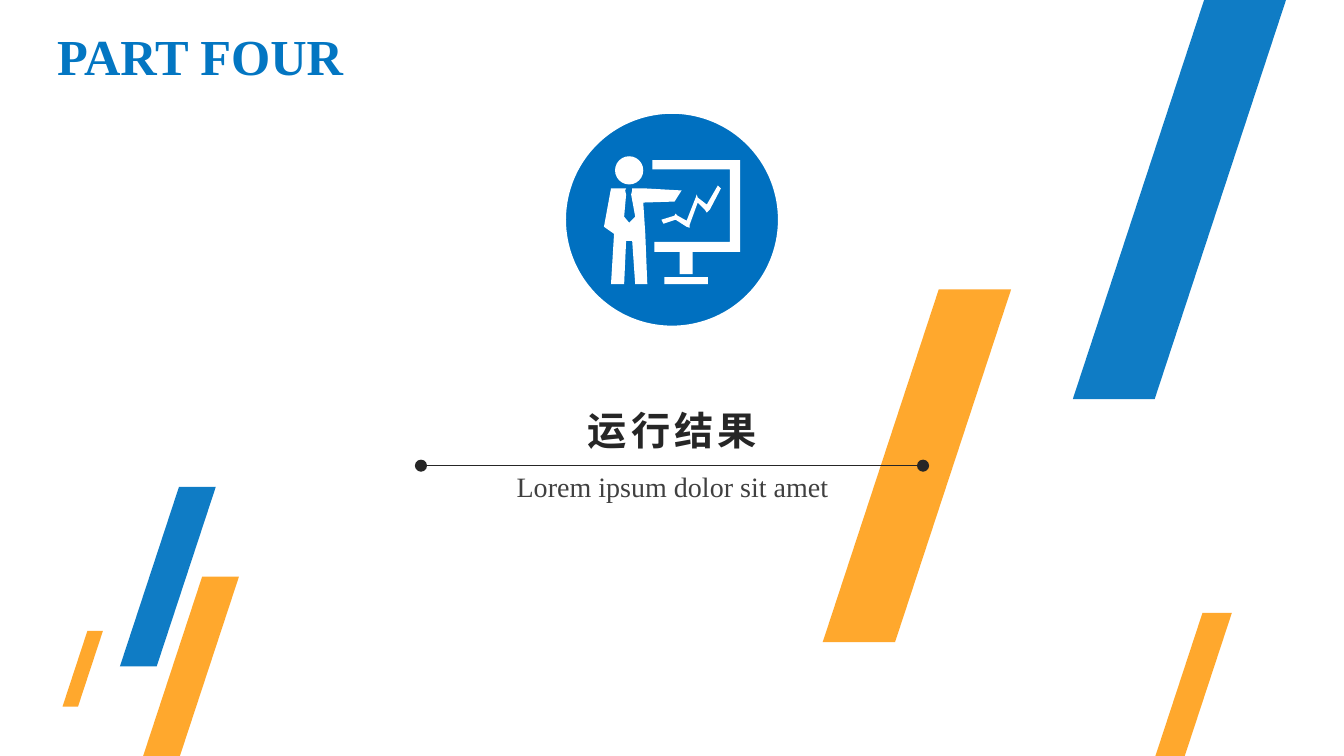
from lxml import etree
from pptx import Presentation, util as u
from pptx.dml.color import RGBColor
from pptx.enum import shapes as kinds, text as txt
from pptx.oxml.ns import qn

# Content
WIDTH, HEIGHT = 13.33, 7.5
CENTRE = WIDTH / 2
BLUE, ORANGE, BADGE_BLUE = "0376C2", "FFA422", "0070C0"
INK, GREY, WHITE = "262626", "404040", "FFFFFF"
LATIN, CHINESE = "Times New Roman", "Noto Sans CJK SC"

PART = "PART FOUR"
TITLE = "运行结果"
SUBTITLE = "Lorem ipsum dolor sit amet"

# Slanted bands: left, top, height, colour; all share one slope
BANDS = [
    (8.16, 2.87, 3.5, ORANGE),
    (10.64, 0, 3.96, BLUE),
    (1.42, 5.72, 1.78, ORANGE),
    (11.46, 6.08, 1.42, ORANGE),
    (1.19, 4.83, 1.78, BLUE),
    (0.62, 6.26, 0.75, ORANGE),
]
BAND_ASPECT, BAND_SLANT, BAND_OPACITY = 0.534, 0.616, 95

# Presenter icon: closed outlines in hundredths of an inch
CHART_LINE = [(656, 218), (669, 214), (670, 212), (672, 214), (681, 219),
              (690, 196), (691, 193), (692, 196), (701, 203), (712, 184),
              (715, 187), (704, 208), (701, 211), (699, 208), (692, 201),
              (684, 223), (684, 226), (681, 225), (670, 218), (658, 222)]
STAND_FOOT = [(659, 275), (702, 275), (702, 282), (659, 282)]
BOARD = [(687, 250), (734, 250), (734, 159), (647, 159), (647, 168), (724, 168),
         (724, 240), (649, 240), (649, 250), (674, 250), (674, 272), (687, 272)]
BODY = [(599, 225), (609, 232), (606, 282), (619, 282), (621, 239), (627, 239),
        (630, 282), (642, 282), (640, 232), (638, 201), (669, 200), (676, 189),
        (641, 187), (627, 187), (627, 189), (626, 193), (630, 215), (624, 221),
        (619, 215), (621, 193), (620, 189), (621, 187), (606, 187)]
ICON = [CHART_LINE, STAND_FOOT, BOARD, BODY]

deck = Presentation()
deck.slide_width, deck.slide_height = u.Inches(WIDTH), u.Inches(HEIGHT)
slide = deck.slides.add_slide(deck.slide_layouts[6])


def colour(hex_string):
    return RGBColor.from_string(hex_string)


def paint(shape, fill, opacity=100, line=None, weight=1):
    shape.shadow.inherit = False
    shape.fill.solid()
    shape.fill.fore_color.rgb = colour(fill)
    if opacity < 100:
        tint = shape.fill._xPr.find(qn("a:solidFill"))[0]
        etree.SubElement(tint, qn("a:alpha"), val=str(opacity * 1000))
    if line:
        shape.line.color.rgb = colour(line)
        shape.line.width = u.Pt(weight)
    else:
        shape.line.fill.background()


def draw(kind, left, top, width, height, fill, **style):
    shape = slide.shapes.add_shape(kind, *map(u.Inches, (left, top, width, height)))
    paint(shape, fill, **style)
    return shape


def disc(x, y, diameter, fill, **style):
    return draw(kinds.MSO_SHAPE.OVAL, x - diameter / 2, y - diameter / 2,
                diameter, diameter, fill, **style)


def write(words, left, top, width, height, *, size, font, ink, bold=False, spacing=0):
    box = slide.shapes.add_textbox(*map(u.Inches, (left, top, width, height)))
    frame = box.text_frame
    frame.word_wrap = True
    frame.auto_size = txt.MSO_AUTO_SIZE.SHAPE_TO_FIT_TEXT
    line = frame.paragraphs[0]
    line.alignment = txt.PP_ALIGN.CENTER
    run = line.add_run()
    run.text = words
    run.font.size, run.font.name, run.font.bold = u.Pt(size), font, bold
    run.font.color.rgb = colour(ink)
    props = run.font._element
    etree.SubElement(props, qn("a:ea"), typeface=font)
    if spacing:
        props.set("spc", str(spacing * 100))


# Bands
for left, top, height, fill in BANDS:
    band = draw(kinds.MSO_SHAPE.PARALLELOGRAM, left, top, height * BAND_ASPECT,
                height, fill, opacity=BAND_OPACITY)
    band.adjustments[0] = BAND_SLANT

# Headings
write(PART, 0.22, 0.2, 3.53, 0.71, size=36, font=LATIN, ink=BLUE, bold=True)
write(TITLE, 4.12, 3.98, 5.1, 0.57, size=28, font=CHINESE, ink=INK, bold=True, spacing=3)
write(SUBTITLE, 4.13, 4.61, 5.08, 0.44, size=20, font=LATIN, ink=GREY)

# Divider with a dot at each end
DIVIDER_Y, DIVIDER_HALF, DOT = 4.62, 2.49, 0.12
ends = [CENTRE - DIVIDER_HALF, CENTRE + DIVIDER_HALF]
divider = slide.shapes.add_connector(
    kinds.MSO_CONNECTOR.STRAIGHT,
    *map(u.Inches, (ends[0], DIVIDER_Y, ends[1], DIVIDER_Y)))
divider.line.color.rgb = colour(INK)
divider.line.width = u.Pt(1)
etree.SubElement(divider._element.spPr, qn("a:effectLst"))
for x in ends:
    disc(x, DIVIDER_Y, DOT, INK)

# Badge with the presenter
disc(CENTRE, 2.18, 2.13, BADGE_BLUE, line=WHITE, weight=2)
disc(6.24, 1.69, 0.28, WHITE)
outline = slide.shapes.build_freeform(*ICON[0][0], scale=u.Inches(0.01))
outline.add_line_segments(ICON[0][1:], close=True)
for part in ICON[1:]:
    outline.move_to(*part[0])
    outline.add_line_segments(part[1:], close=True)
paint(outline.convert_to_shape(), WHITE)

deck.save("out.pptx")
